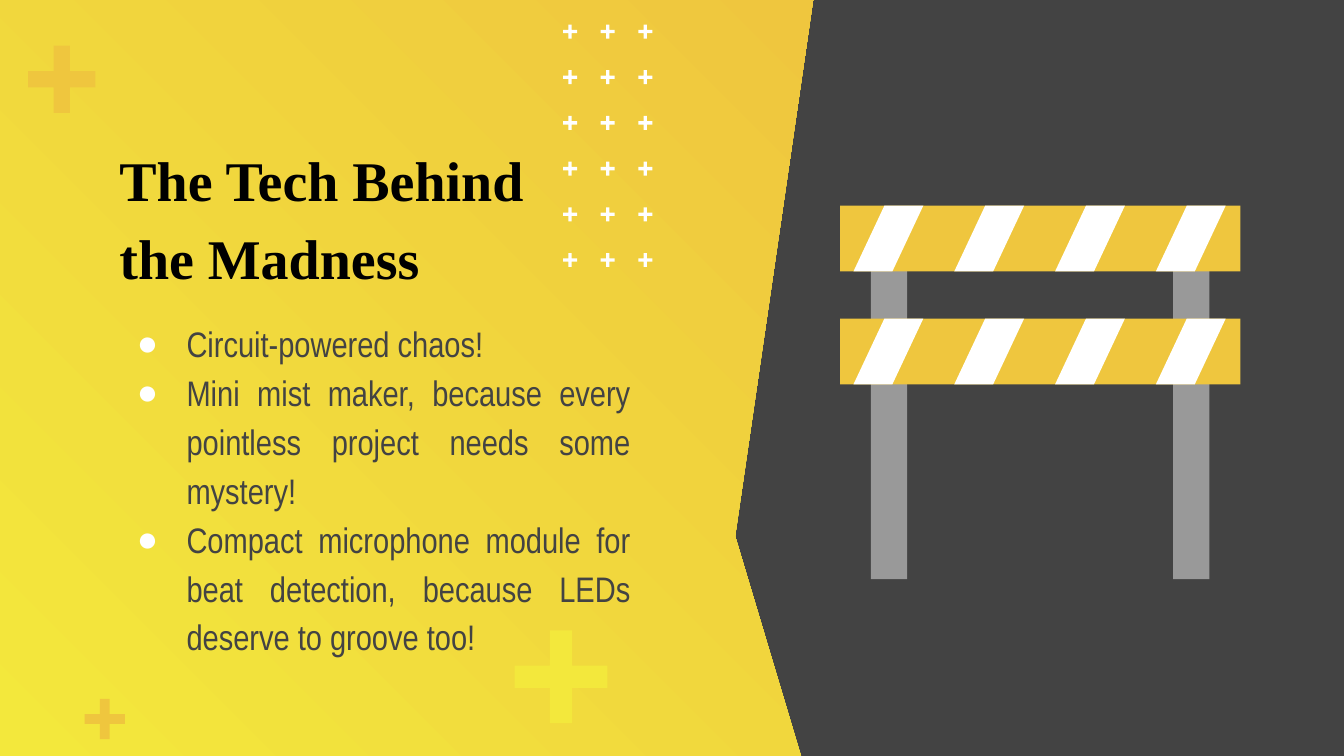
from dataclasses import dataclass
from itertools import product

from lxml.etree import SubElement
from pptx import Presentation
from pptx.dml.color import RGBColor as Rgb
from pptx.enum.shapes import MSO_SHAPE as Kind
from pptx.enum.text import MSO_ANCHOR as Anchor, PP_ALIGN as Align
from pptx.oxml.ns import qn
from pptx.util import Inches, Pt

# The grid has square cells: 100 columns by 56.25 rows
COLS, ROWS = 100, 56.25
CELL = Inches(0.1)


@dataclass(frozen=True)
class Theme:
    dark: str = "434343"
    lemon: str = "F3E83C"
    amber: str = "EFC63E"
    gray: str = "999999"
    white: str = "FFFFFF"
    black: str = "000000"
    serif: str = "Times New Roman"
    sans: str = "Arial Narrow"
    mark: str = "Arial"
    head: int = 30
    body: int = 19
    lead: float = 1.15


LOOK = Theme()
TITLE = "The Tech Behind the Madness"
POINTS = (
    "Circuit-powered chaos!",
    "Mini mist maker, because every pointless project needs some mystery!",
    "Compact microphone module for beat detection, "
    "because LEDs deserve to groove too!",
)


def grid(*cells):
    return [round(n * CELL) for n in cells]


def paint(shape, color):
    shape.fill.solid()
    shape.fill.fore_color.rgb = Rgb.from_string(color)
    shape.line.fill.background()
    shape.shadow.inherit = False


def block(shapes, kind, box, color, bend=None):
    shape = shapes.add_shape(kind, *grid(*box))
    if bend is not None:
        shape.adjustments[0] = bend
    paint(shape, color)


def cross(shapes, left, top, size, color):
    block(shapes, Kind.CROSS, (left, top, size, size), color, 0.38)


def panel(shapes):
    edge = [(0, ROWS), (59.6, ROWS), (54.7, 39.9), (60.5, 0)]
    pen = shapes.build_freeform(0, 0, scale=CELL / 1000)
    pen.add_line_segments([(x * 1000, y * 1000) for x, y in edge])
    shape = pen.convert_to_shape()
    paint(shape, LOOK.lemon)
    shape.fill.gradient()
    shape.fill.gradient_angle = 45
    for stop, color in zip(shape.fill.gradient_stops, (LOOK.lemon, LOOK.amber)):
        stop.color.rgb = Rgb.from_string(color)


def frame(shapes, box, anchor):
    text = shapes.add_textbox(*grid(*box)).text_frame
    text.word_wrap = True
    text.vertical_anchor = anchor
    text.margin_left = text.margin_right = text.margin_top = CELL
    text.margin_bottom = 0
    return text


def write(para, words, face, size, color, bold=False):
    para.line_spacing = LOOK.lead
    run = para.add_run()
    run.text = words
    run.font.name = face
    run.font.size = Pt(size)
    run.font.bold = bold
    run.font.color.rgb = Rgb.from_string(color)


def bullet(para, color):
    props = para._p.get_or_add_pPr()
    props.set("marL", str(Inches(0.5)))
    props.set("indent", str(-Inches(0.37)))
    tint = SubElement(props, qn("a:buClr"))
    SubElement(tint, qn("a:srgbClr")).set("val", color)
    SubElement(props, qn("a:buFont")).set("typeface", LOOK.mark)
    SubElement(props, qn("a:buChar")).set("char", "●")


def title(shapes):
    para = frame(shapes, (7.9, 6.6, 33.3, 15), Anchor.BOTTOM).paragraphs[0]
    write(para, TITLE, LOOK.serif, LOOK.head, LOOK.black, True)


def points(shapes):
    text = frame(shapes, (7.9, 22.5, 40, 27.1), Anchor.TOP)
    for i, words in enumerate(POINTS):
        para = text.add_paragraph() if i else text.paragraphs[0]
        para.alignment = Align.JUSTIFY
        bullet(para, LOOK.white)
        write(para, words, LOOK.sans, LOOK.body, LOOK.dark)


def fence(shapes):
    group = shapes.add_group_shape().shapes
    # Posts
    for left in (64.8, 87.3):
        block(group, Kind.RECTANGLE, (left, 17.4, 2.7, 25.7), LOOK.gray)
    # Boards, each with four slanted stripes
    for top in (15.3, 23.7):
        block(group, Kind.RECTANGLE, (62.5, top, 29.8, 4.9), LOOK.amber)
        for i in range(4):
            box = (63.5 + 7.5 * i, top, 5.2, 4.9)
            block(group, Kind.PARALLELOGRAM, box, LOOK.white, 0.47)


def dots(shapes):
    group = shapes.add_group_shape().shapes
    for col, row in product(range(3), range(6)):
        cross(group, 41.9 + 2.8 * col, 1.83 + 3.4 * row, 1.04, LOOK.white)


def main():
    deck = Presentation()
    deck.slide_width, deck.slide_height = grid(COLS, ROWS)
    slide = deck.slides.add_slide(deck.slide_layouts[6])
    shapes = slide.shapes

    # Backdrop
    back = slide.background.fill
    back.solid()
    back.fore_color.rgb = Rgb.from_string(LOOK.dark)
    panel(shapes)
    cross(shapes, 38.3, 46.9, 6.9, LOOK.lemon)
    cross(shapes, 2.1, 3.4, 5, LOOK.amber)
    cross(shapes, 6.3, 52, 3, LOOK.amber)

    # Wording
    title(shapes)
    points(shapes)

    # Barrier and pattern of small crosses
    fence(shapes)
    dots(shapes)
    deck.save("out.pptx")


if __name__ == "__main__":
    main()
